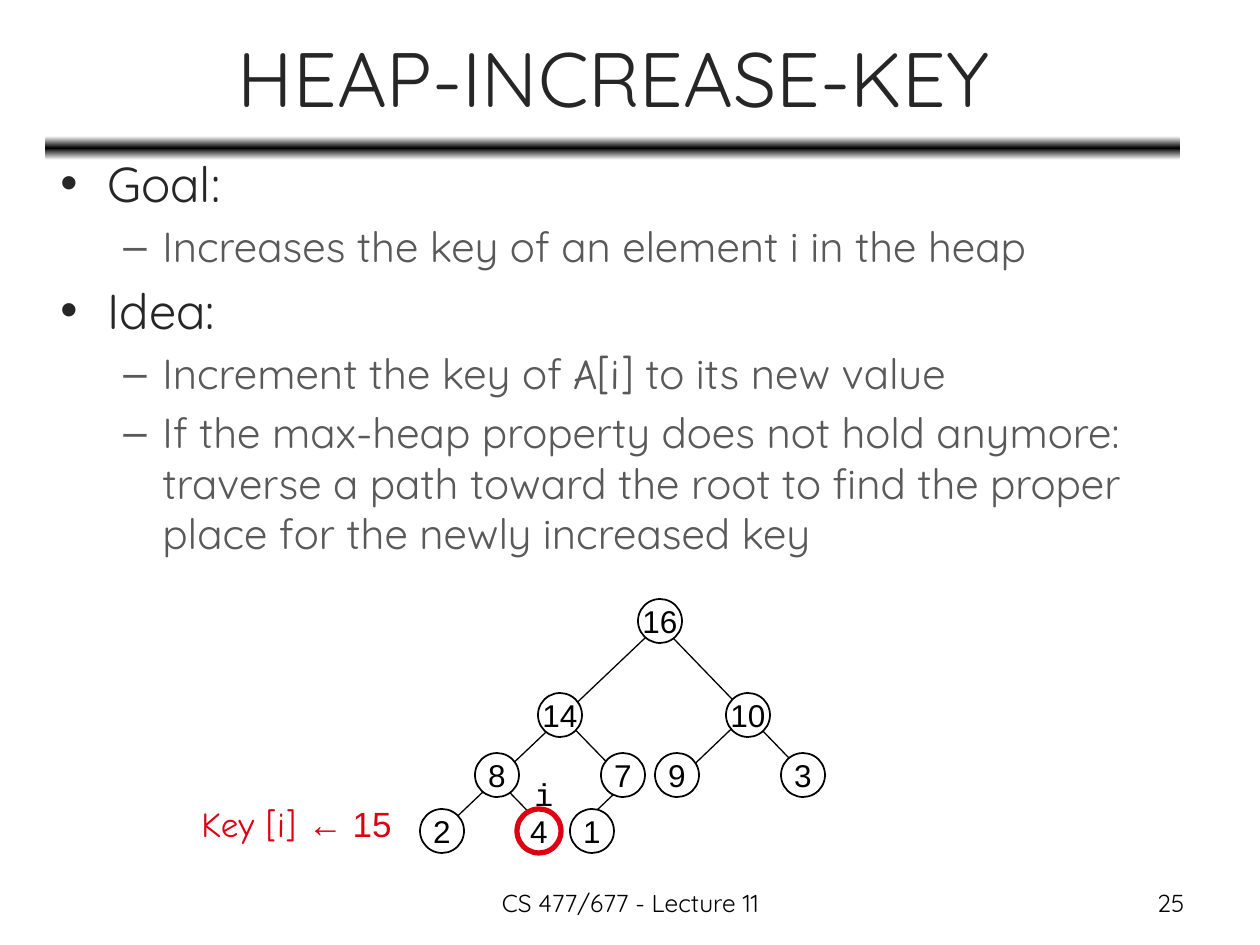
from lxml.etree import SubElement
from pptx import Presentation
from pptx.dml.color import RGBColor
from pptx.enum.shapes import MSO_CONNECTOR as Connector, MSO_SHAPE as Shape
from pptx.enum.text import MSO_ANCHOR as Anchor, PP_ALIGN as Align
from pptx.oxml.ns import qn
from pptx.util import Emu, Pt

PX = 914400 / 126
BLACK, WHITE, RED, DARK, GRAY = "000000", "FFFFFF", "DD0111", "262626", "595959"
SANS, HAND, PLAIN, MONO = "Quicksand", "Comic Neue", "Arial", "Courier New"

RULE = (45, 136, 1135, 24)
BODY = (48, 147, 1134, 699)
LEVELS = [
    {"bullet": "•", "size": 28, "color": DARK, "margin": 47, "hang": 47},
    {"bullet": "–", "size": 24, "color": GRAY, "margin": 102, "hang": 39},
]
POINTS = [
    (0, [("Goal:", SANS)]),
    (1, [("Increases the key of an element i in the heap", SANS)]),
    (0, [("Idea:", SANS)]),
    (1, [("Increment the key of ", SANS), ("A[i]", HAND), (" to its new value", SANS)]),
    (1, [("If the max-heap property does not hold anymore: traverse a path toward "
          "the root to find the proper place for the newly increased key", SANS)]),
]
TITLE = ((47, 14, 1134, 125), [("HEAP-INCREASE-KEY", SANS)], 44, DARK, Align.CENTER, Anchor.MIDDLE, True)
LABELS = [
    ((522, 769, 33, 50), [("i", MONO)], 18, BLACK, Align.LEFT, Anchor.TOP, False),
    ((189, 796, 224, 54), [("Key [i] ", HAND), ("← 15", PLAIN)], 20, RED, Align.LEFT, Anchor.TOP, False),
    ((431, 882, 399, 44), [("CS 477/677 - Lecture 11", SANS)], 14, BLACK, Align.CENTER, Anchor.TOP, True),
    ((903, 882, 294, 44), [("25", SANS)], 14, BLACK, Align.RIGHT, Anchor.TOP, True),
]
NODE = 44
HEAP_ROWS = [
    (599, [("16", 638)]),
    (693, [("14", 538), ("10", 726)]),
    (753, [("8", 475), ("7", 601), ("9", 655), ("3", 781)]),
    (809, [("2", 420), ("4", 517), ("1", 570)]),
]
CHANGED = "4"
EDGES = [
    (576, 830, 633, 776), (678, 780, 748, 713), (551, 835, 483, 765),
    (625, 781, 557, 711), (815, 785, 646, 610), (444, 829, 664, 620),
]


def px(*lengths):
    return [Emu(round(length * PX)) for length in lengths]


def rgb(color):
    return RGBColor.from_string(color)


def add_span(para, text, font, size, color):
    span = para.add_run()
    span.text = text
    span.font.name, span.font.size = font, Pt(size)
    span.font.color.rgb = rgb(color)


def add_text(page, place, spans, size, color, align, anchor, wrap):
    box = page.shapes.add_textbox(*px(*place))
    fill_frame(box.text_frame, spans, size, color, align, anchor, wrap)


def fill_frame(frame, spans, size, color, align, anchor, wrap):
    frame.word_wrap, frame.vertical_anchor = wrap, anchor
    para = frame.paragraphs[0]
    para.alignment = align
    for text, font in spans:
        add_span(para, text, font, size, color)


def add_rule(page):
    bar = page.shapes.add_shape(Shape.ROUNDED_RECTANGLE, *px(*RULE))
    bar.shadow.inherit = False
    bar.line.fill.background()
    bar.fill.gradient()
    bar.fill.gradient_angle = 270
    stops = bar.fill._fill._gradFill.find(qn("a:gsLst"))
    for stop in list(stops):
        stops.remove(stop)
    for position, color in ((0, WHITE), (50, BLACK), (100, WHITE)):
        stop = SubElement(stops, qn("a:gs"), pos=str(position * 1000))
        SubElement(stop, qn("a:srgbClr"), val=color)


def add_points(page):
    frame = page.shapes.add_textbox(*px(*BODY)).text_frame
    frame.word_wrap = True
    for index, (depth, spans) in enumerate(POINTS):
        level = LEVELS[depth]
        para = frame.add_paragraph() if index else frame.paragraphs[0]
        para.level = depth
        if index:
            para.space_before = Pt(level["size"] * 0.2)
        props = para._p.get_or_add_pPr()
        margin, hang = px(level["margin"], level["hang"])
        props.set("marL", str(margin))
        props.set("indent", str(-hang))
        SubElement(props, qn("a:buFont"), typeface=PLAIN)
        SubElement(props, qn("a:buChar"), char=level["bullet"])
        for text, font in spans:
            add_span(para, text, font, level["size"], level["color"])


def add_edge(page, ends):
    edge = page.shapes.add_connector(Connector.STRAIGHT, *px(*ends))
    edge.line.color.rgb, edge.line.width = rgb(BLACK), Pt(0.75)
    SubElement(edge._element.spPr, qn("a:effectLst"))


def add_node(page, key, left, top):
    node = page.shapes.add_shape(Shape.OVAL, *px(left, top, NODE, NODE))
    node.shadow.inherit = False
    node.fill.solid()
    node.fill.fore_color.rgb = rgb(WHITE)
    node.line.color.rgb = rgb(RED if key == CHANGED else BLACK)
    node.line.width = Pt(3 if key == CHANGED else 1)
    fill_frame(node.text_frame, [(key, PLAIN)], 18, BLACK, Align.CENTER, Anchor.MIDDLE, False)


def main():
    """Build the heap-increase-key slide and save it."""
    deck = Presentation()
    deck.slide_width, deck.slide_height = px(1260, 945)
    page = deck.slides.add_slide(deck.slide_layouts[6])
    add_rule(page)
    add_text(page, *TITLE)
    add_points(page)
    for ends in EDGES:
        add_edge(page, ends)
    for top, nodes in HEAP_ROWS:
        for key, left in nodes:
            add_node(page, key, left, top)
    for label in LABELS:
        add_text(page, *label)
    deck.save("out.pptx")


if __name__ == "__main__":
    main()
